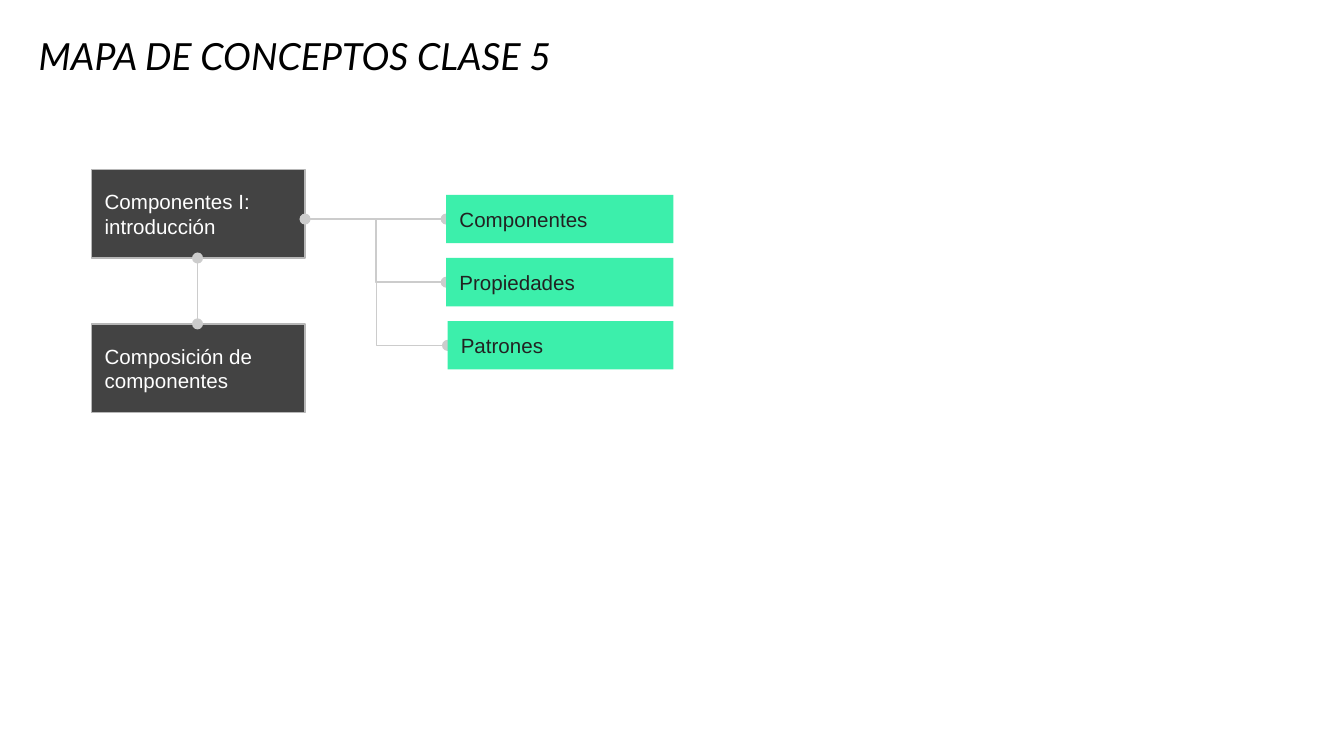
from dataclasses import dataclass
from typing import Optional

from lxml.etree import SubElement
from pptx import Presentation
from pptx.dml.color import RGBColor
from pptx.enum.shapes import MSO_CONNECTOR, MSO_SHAPE
from pptx.enum.text import MSO_ANCHOR, PP_ALIGN
from pptx.oxml.ns import qn
from pptx.util import Emu, Pt

EMU_PER_PX = 9144  # 100 px to the inch


@dataclass(frozen=True)
class Theme:
    title_font: str = "Lato"
    body_font: str = "Arial"
    title_size: int = 20
    body_size: int = 11
    line_width: float = 0.75
    title_text: str = "000000"
    class_fill: str = "434343"
    class_border: str = "B7B7B7"
    class_text: str = "FFFFFF"
    topic_fill: str = "3CEFAB"
    topic_text: str = "222222"
    link: str = "CCCCCC"


@dataclass(frozen=True)
class Box:
    text: str
    left: int
    top: int
    width: int
    height: int
    fill: str
    text_color: str
    border: Optional[str] = None


@dataclass(frozen=True)
class Link:
    start: tuple[int, int]
    end: tuple[int, int]
    start_dot: bool = False


THEME = Theme()


def px(length: int) -> Emu:
    return Emu(length * EMU_PER_PX)


def write_text(shape, text: str, *, font: str = THEME.body_font,
               size: int = THEME.body_size, color: str, italic: bool = False,
               anchor: MSO_ANCHOR = MSO_ANCHOR.MIDDLE) -> None:
    frame = shape.text_frame
    frame.word_wrap = True
    frame.vertical_anchor = anchor
    frame.margin_left = frame.margin_right = px(10)
    frame.margin_top = frame.margin_bottom = px(10)
    paragraph = frame.paragraphs[0]
    paragraph.alignment = PP_ALIGN.LEFT
    run = paragraph.add_run()
    run.text = text
    run.font.name = font
    run.font.size = Pt(size)
    run.font.italic = italic
    run.font.color.rgb = RGBColor.from_string(color)


def draw_box(slide, box: Box) -> None:
    shape = slide.shapes.add_shape(MSO_SHAPE.RECTANGLE, px(box.left), px(box.top),
                                   px(box.width), px(box.height))
    shape.shadow.inherit = False
    shape.fill.solid()
    shape.fill.fore_color.rgb = RGBColor.from_string(box.fill)
    if box.border:
        shape.line.color.rgb = RGBColor.from_string(box.border)
        shape.line.width = Pt(THEME.line_width)
    else:
        shape.line.fill.background()
    write_text(shape, box.text, color=box.text_color)


def draw_link(slide, link: Link) -> None:
    is_straight = link.start[0] == link.end[0] or link.start[1] == link.end[1]
    kind = MSO_CONNECTOR.STRAIGHT if is_straight else MSO_CONNECTOR.ELBOW
    connector = slide.shapes.add_connector(
        kind, *(px(value) for value in (*link.start, *link.end)))
    connector.line.color.rgb = RGBColor.from_string(THEME.link)
    connector.line.width = Pt(THEME.line_width)
    # Round ends, then no shadow
    properties = connector.element.spPr
    line = properties.find(qn("a:ln"))
    if link.start_dot:
        SubElement(line, qn("a:headEnd"), type="oval")
    SubElement(line, qn("a:tailEnd"), type="oval")
    SubElement(properties, qn("a:effectLst"))


def class_box(text: str, top: int) -> Box:
    return Box(text, 68, top, 159, 66, THEME.class_fill, THEME.class_text,
               THEME.class_border)


def topic_box(text: str, top: int, left: int = 332, width: int = 169) -> Box:
    return Box(text, left, top, width, 36, THEME.topic_fill, THEME.topic_text)


def main() -> None:
    # Slide in 16:9
    presentation = Presentation()
    presentation.slide_width = px(1000)
    presentation.slide_height = Emu(px(1000) * 9 // 16)
    slide = presentation.slides.add_slide(presentation.slide_layouts[6])

    # Title
    title = slide.shapes.add_textbox(px(19), px(22), px(826), px(46))
    write_text(title, "MAPA DE CONCEPTOS CLASE 5", font=THEME.title_font,
               size=THEME.title_size, color=THEME.title_text, italic=True,
               anchor=MSO_ANCHOR.BOTTOM)

    # Classes, joined top to bottom
    introduction = class_box("Componentes I: introducción", 126)
    composition = class_box("Composición de componentes", 241)
    for box in (introduction, composition):
        draw_box(slide, box)
    center = introduction.left + introduction.width // 2
    draw_link(slide, Link((center, introduction.top + introduction.height),
                          (center, composition.top), start_dot=True))

    # Topics of the first class, each box covering half of its link's dot
    topics = (topic_box("Componentes", 145),
              topic_box("Propiedades", 192),
              topic_box("Patrones", 239, left=333, width=168))
    branch = (introduction.left + introduction.width,
              topics[0].top + topics[0].height // 2)
    for index, topic in enumerate(topics):
        target = (topic.left, topic.top + topic.height // 2)
        draw_link(slide, Link(branch, target, start_dot=index == 0))
        draw_box(slide, topic)

    presentation.save("out.pptx")


if __name__ == "__main__":
    main()
